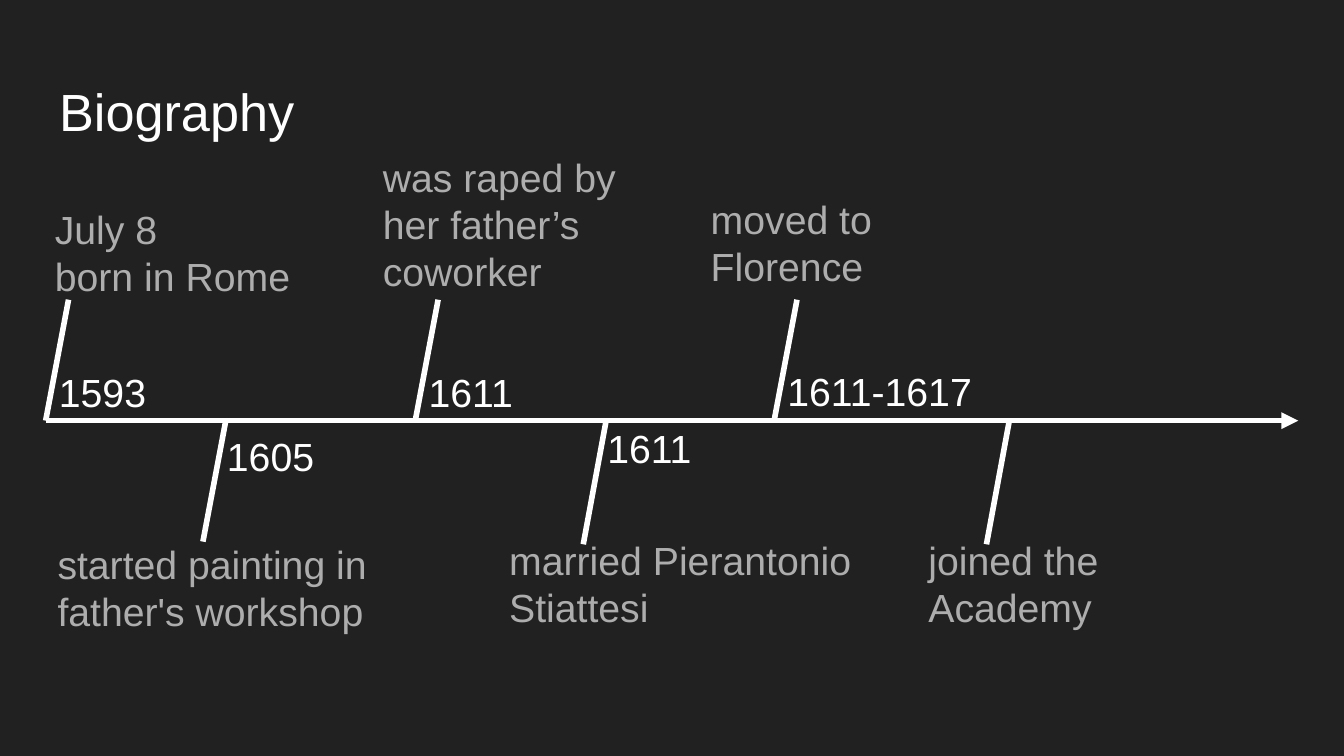
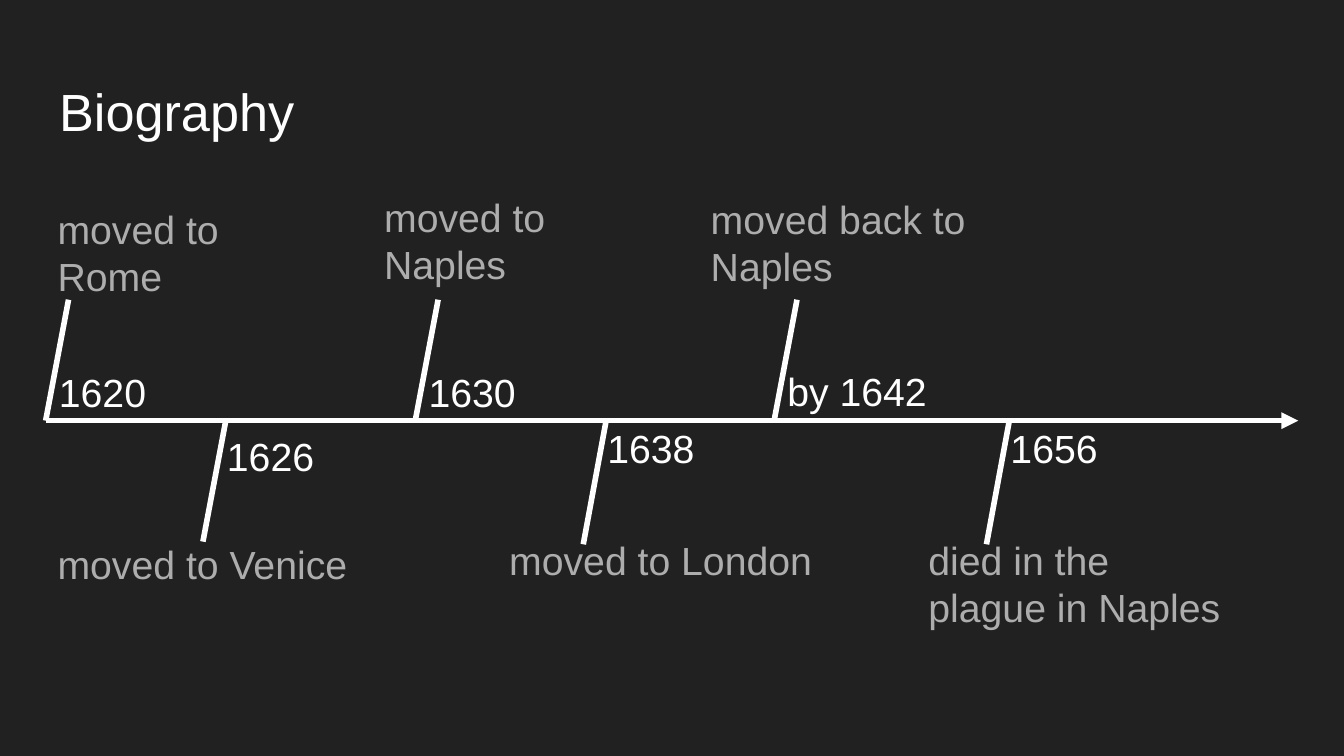
from dataclasses import dataclass
from typing import Optional

from lxml.etree import SubElement
from pptx import Presentation
from pptx.dml.color import RGBColor
from pptx.enum.shapes import MSO_CONNECTOR
from pptx.enum.text import MSO_ANCHOR, MSO_AUTO_SIZE, PP_ALIGN
from pptx.oxml.ns import qn
from pptx.util import Inches, Pt

BACKGROUND = RGBColor(0x21, 0x21, 0x21)
WHITE = RGBColor(0xFF, 0xFF, 0xFF)
GREY = RGBColor(0xAD, 0xAD, 0xAD)
FONT = "Arial"
AXIS_Y = 3.13
AXIS_START, AXIS_END = 0.34, 9.66
TICK_SLANT = 0.17


@dataclass
class Slot:
    """Place on the timeline: tick line, note box and year box."""
    axis_x: float
    tick_y: float
    note_box: tuple
    year_box: tuple


@dataclass
class Event:
    """Year and note of one event, with its own note box if needed."""
    year: str
    note: str
    note_box: Optional[tuple] = None
    indent: float = 0


SLOTS = [
    Slot(0.34, 2.23, (0.33, 1.43, 2.16, 3.28), (0.34, 2.64, 0.87, 0.86)),
    Slot(1.68, 4.03, (0.33, 3.92, 2.56, 1.81), (1.59, 3.12, 1.05, 0.86)),
    Slot(3.09, 2.23, (2.76, 1.34, 2.16, 1.39), (3.09, 2.64, 1.25, 0.86)),
    Slot(4.51, 4.05, (3.69, 3.89, 3.12, 3.28), (4.42, 3.06, 1.25, 0.86)),
    Slot(5.76, 2.23, (5.19, 1.35, 2.56, 0.86), (5.76, 2.63, 1.65, 1.17)),
    Slot(7.51, 4.05, (6.81, 3.89, 2.43, 3.28), (7.42, 3.06, 1.25, 0.86)),
]

EARLY_LIFE = [
    Event("1593", "July 8\nborn in Rome", (-0.19, 1.43, 3.28, 3.28), 0.5),
    Event("1605", "started painting in father's workshop"),
    Event("1611", "was raped by her father’s coworker", (2.75, 1.04, 2.16, 1.39)),
    Event("1611", "married Pierantonio Stiattesi"),
    Event("1611-1617", "moved to Florence"),
    Event("", "joined the Academy"),
]

LATER_LIFE = [
    Event("1620", "moved to Rome"),
    Event("1626", "moved to Venice"),
    Event("1630", "moved to Naples"),
    Event("1638", "moved to London"),
    Event("by 1642", "moved back to Naples"),
    Event("1656", "died in the plague in Naples"),
]


def write_text(tf, text, size, color, indent=0):
    """Fill a text frame, one paragraph for each line of text."""
    tf.word_wrap = True
    tf.auto_size = MSO_AUTO_SIZE.NONE
    tf.vertical_anchor = MSO_ANCHOR.TOP
    tf.margin_left = tf.margin_right = Inches(0.1)
    tf.margin_top = tf.margin_bottom = Inches(0.1)
    for i, line in enumerate(text.split("\n")):
        p = tf.add_paragraph() if i else tf.paragraphs[0]
        p.alignment = PP_ALIGN.LEFT
        p.line_spacing = 1.0
        if indent:
            p._p.get_or_add_pPr().set("marL", str(Inches(indent)))
        r = p.add_run()
        r.text = line
        r.font.name = FONT
        r.font.size = Pt(size)
        r.font.color.rgb = color


def set_title(s, text):
    """Place and format the title placeholder."""
    sp = s.shapes.title
    sp.left, sp.top, sp.width, sp.height = map(Inches, (0.34, 0.49, 9.32, 0.63))
    write_text(sp.text_frame, text, 28, WHITE)


def add_label(s, box, text, color, indent=0):
    """Add a timeline text box."""
    sp = s.shapes.add_textbox(*map(Inches, box))
    write_text(sp.text_frame, text, 21, color, indent)


def add_line(s, x1, y1, x2, y2, arrow=False):
    """Add a white line, with an arrowhead at its end if asked."""
    points = map(Inches, (x1, y1, x2, y2))
    sp = s.shapes.add_connector(MSO_CONNECTOR.STRAIGHT, *points)
    sp.line.color.rgb = WHITE
    sp.line.width = Pt(3)
    if arrow:
        SubElement(sp.line._get_or_add_ln(), qn("a:tailEnd"), type="triangle")
    SubElement(sp._element.spPr, qn("a:effectLst"))


def add_event(s, slot, event):
    """Add the tick, note and year of one event."""
    slant = TICK_SLANT if slot.tick_y < AXIS_Y else -TICK_SLANT
    add_line(s, slot.axis_x, AXIS_Y, slot.axis_x + slant, slot.tick_y)
    add_label(s, event.note_box or slot.note_box, event.note, GREY, event.indent)
    if event.year:
        add_label(s, slot.year_box, event.year, WHITE)


def add_timeline_slide(prs, title, events):
    """Add a slide with a title and a timeline of events."""
    s = prs.slides.add_slide(prs.slide_layouts[5])
    set_title(s, title)
    add_line(s, AXIS_START, AXIS_Y, AXIS_END, AXIS_Y, arrow=True)
    for slot, event in zip(SLOTS, events):
        add_event(s, slot, event)


def main():
    """Build and save the presentation."""
    prs = Presentation()
    prs.slide_width = Inches(10)
    prs.slide_height = prs.slide_width * 9 // 16
    fill = prs.slide_master.background.fill
    fill.solid()
    fill.fore_color.rgb = BACKGROUND
    for events in (EARLY_LIFE, LATER_LIFE):
        add_timeline_slide(prs, "Biography", events)
    prs.save("out.pptx")


if __name__ == "__main__":
    main()
